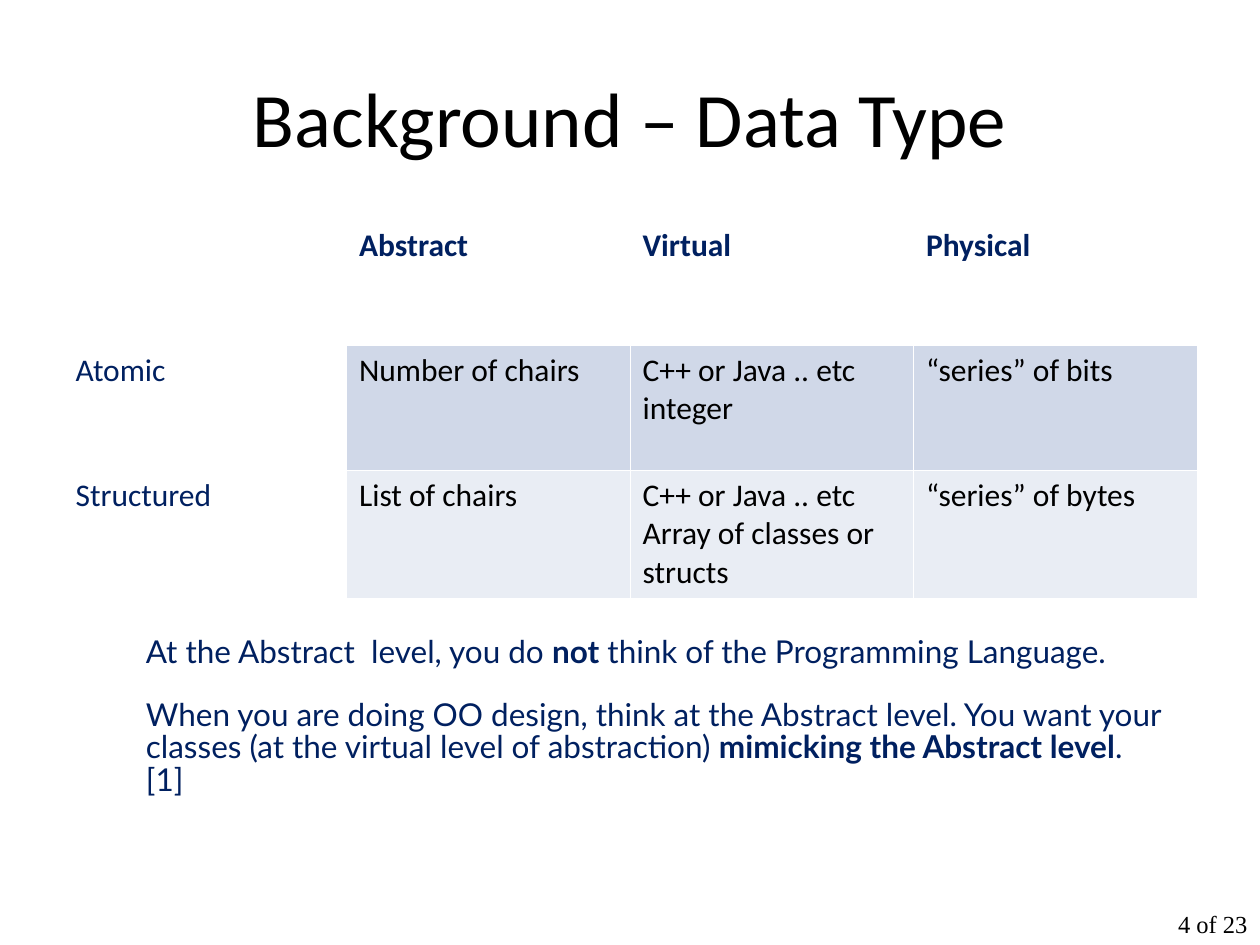
import pptx
import pptx.dml.color
import pptx.enum.text
import pptx.oxml
import pptx.oxml.ns
import pptx.util

NAVY, BLACK, WHITE = "002060", "000000", "FFFFFF"
ROWS = [
    ["", "Abstract", "Virtual", "Physical"],
    ["Atomic", "Number of chairs", "C++ or Java .. etc\ninteger", "“series” of bits"],
    ["Structured", "List of chairs", "C++ or Java .. etc\nArray of classes or structs",
     "“series” of bytes"],
]
BANDS = [WHITE, "D0D8E8", "E9EDF4"]
NOTES = [
    [("At the Abstract  level, you do ", False), ("not", True),
     (" think of the Programming Language.", False)],
    [("When you are doing OO design, think at the Abstract level. You want your classes "
      "(at the virtual level of abstraction) ", False),
     ("mimicking the Abstract level", True), (".  [1]", False)],
]


def rgb(value):
    """Return the colour for a hex string."""
    return pptx.dml.color.RGBColor.from_string(value)


def inches(box):
    """Return a box of inches as lengths."""
    return [pptx.util.Inches(v) for v in box]


def style(p, size, font, color):
    """Set the font of a paragraph."""
    p.font.size = pptx.util.Pt(size)
    p.font.name = font
    p.font.color.rgb = rgb(color)


def set_borders(cell, widths):
    """Draw white cell borders of the given widths, in points by side."""
    tcPr = cell._tc.get_or_add_tcPr()
    for i, (side, width) in enumerate(widths.items()):
        tcPr.insert(i, pptx.oxml.parse_xml(
            f'<a:ln{side} {pptx.oxml.ns.nsdecls("a")} w="{pptx.util.Pt(width)}">'
            f'<a:solidFill><a:srgbClr val="{WHITE}"/></a:solidFill></a:ln{side}>'))


def add_title(s, box, text):
    """Place the slide title in its placeholder."""
    sp = s.shapes.title
    sp.left, sp.top, sp.width, sp.height = inches(box)
    tf = sp.text_frame
    tf.text = text
    tf.vertical_anchor = pptx.enum.text.MSO_ANCHOR.MIDDLE
    p = tf.paragraphs[0]
    p.alignment = pptx.enum.text.PP_ALIGN.CENTER
    style(p, 44, "Calibri", BLACK)


def add_levels_table(s, box):
    """Place the table of data types by level of abstraction."""
    table = s.shapes.add_table(len(ROWS), len(ROWS[0]), *inches(box)).table
    for row, height in zip(table.rows, (0.99, 0.99, 1.02)):
        row.height = pptx.util.Inches(height)
    for i, texts in enumerate(ROWS):
        for j, text in enumerate(texts):
            cell = table.cell(i, j)
            label = i == 0 or j == 0
            cell.text = text
            cell.fill.solid()
            cell.fill.fore_color.rgb = rgb(WHITE if label else BANDS[i])
            set_borders(cell, {"L": 0.45, "R": 0.45, "T": 1.47 if i == 1 else 0.45,
                               "B": 1.47 if i == 0 else 0.45})
            for p in cell.text_frame.paragraphs:
                style(p, 18, "Calibri", NAVY if label else BLACK)
                p.font.bold = i == 0


def add_notes(s, box):
    """Place the remarks below the table."""
    tf = s.shapes.add_textbox(*inches(box)).text_frame
    tf.word_wrap = True
    for i, runs in enumerate(NOTES):
        p = tf.add_paragraph() if i else tf.paragraphs[0]
        p.line_spacing = 0.85
        p.space_before = pptx.util.Pt(18 if i else 0)
        style(p, 18, "Lato", NAVY)
        for text, bold in runs:
            r = p.add_run()
            r.text = text
            r.font.bold = bold


def add_page_number(s, box, text):
    """Place the page count in the corner."""
    tf = s.shapes.add_textbox(*inches(box)).text_frame
    tf.word_wrap = True
    tf.text = text
    p = tf.paragraphs[0]
    p.alignment = pptx.enum.text.PP_ALIGN.RIGHT
    p.line_spacing = 0.75
    style(p, 14, "Times New Roman", BLACK)


def main():
    """Build the slide and save it."""
    prs = pptx.Presentation()
    prs.slide_width, prs.slide_height = inches((10, 7.5))
    s = prs.slides.add_slide(prs.slide_layouts.get_by_name("Title Only"))
    add_title(s, (0.5, 0.3, 9, 1.25), "Background – Data Type")
    add_levels_table(s, (0.5, 1.75, 9, 3))
    add_page_number(s, (8.7, 7.22, 1.3, 0.28), "4 of 23")
    add_notes(s, (1.06, 5.01, 8.27, 1.63))
    prs.save("out.pptx")


if __name__ == "__main__":
    main()
